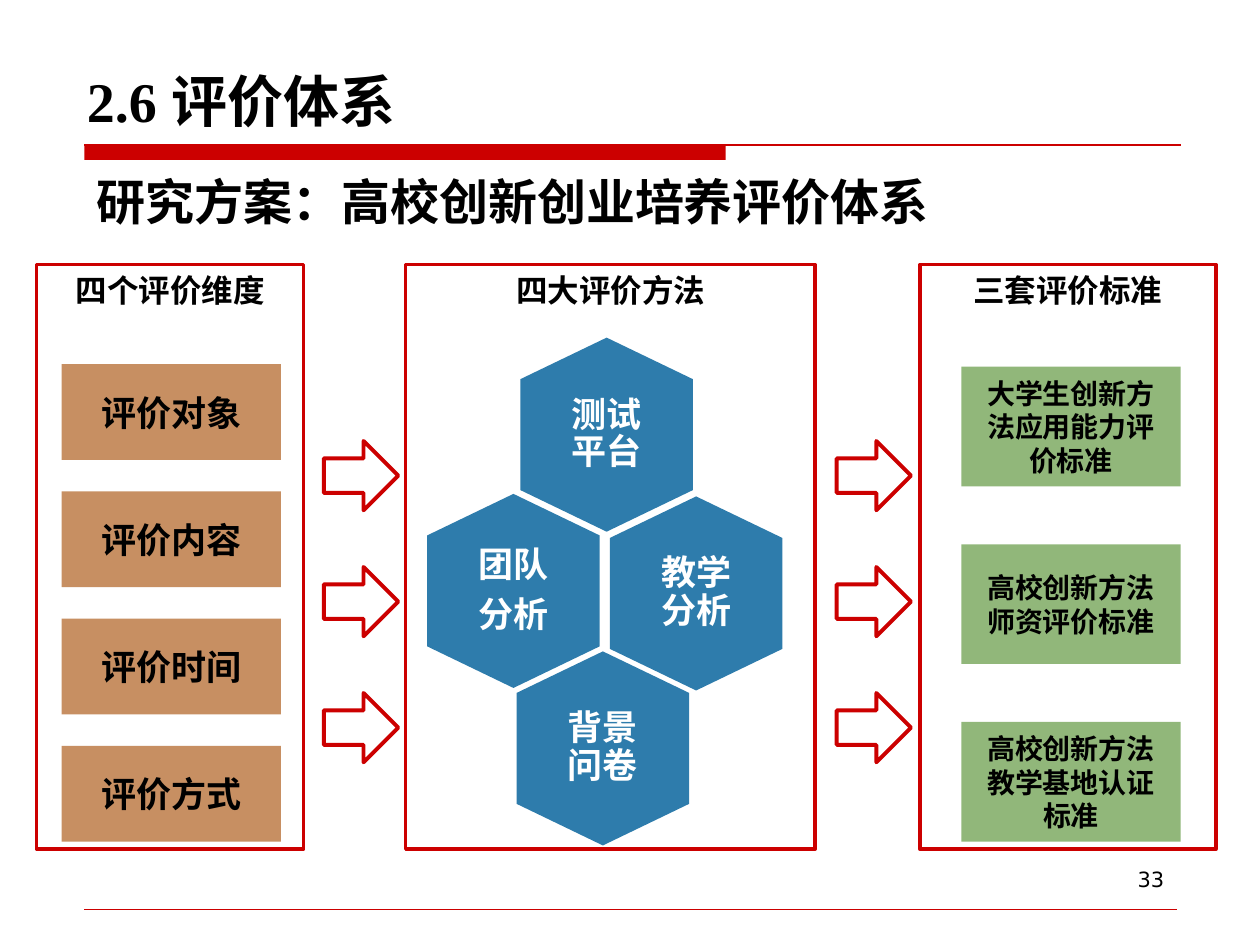
from dataclasses import dataclass
from pptx import Presentation
from pptx.dml.color import RGBColor as RGB
from pptx.enum.shapes import MSO_CONNECTOR as LINK, MSO_SHAPE as FORM
from pptx.enum.text import MSO_ANCHOR as ANCHOR, MSO_AUTO_SIZE as FIT, PP_ALIGN as ALIGN
from pptx.oxml.ns import qn
from pptx.util import Inches, Pt


@dataclass(frozen=True)
class Theme:
    red: RGB = RGB.from_string("CC0000")
    blue: RGB = RGB.from_string("2E7CAC")
    tan: RGB = RGB.from_string("C78F62")
    green: RGB = RGB.from_string("91B77A")
    black: RGB = RGB.from_string("000000")
    white: RGB = RGB.from_string("FFFFFF")
    sans: str = "Noto Sans CJK SC"
    serif: str = "Times New Roman"
    plain: str = "DejaVu Sans"
    title: int = 32
    lead: int = 28
    body: int = 20
    label: int = 18
    small: int = 16
    note: int = 12


theme = Theme()


def write(shape, text, size, color=theme.black, face=theme.sans, bold=True,
          align=ALIGN.CENTER, anchor=ANCHOR.MIDDLE, inset=(0.1, 0.05),
          spacing=None, after=None):
    """Fill a shape with text, one paragraph per line."""
    frame = shape.text_frame
    frame.word_wrap = True
    frame.auto_size = FIT.NONE
    frame.vertical_anchor = anchor
    frame.margin_left = frame.margin_right = Inches(inset[0])
    frame.margin_top = frame.margin_bottom = Inches(inset[1])
    frame.text = text
    for para in frame.paragraphs:
        para.alignment = align
        para.line_spacing = spacing
        para.space_after = after
        for run in para.runs:
            font = run.font
            font.name, font.size, font.bold = face, Pt(size), bold
            font.color.rgb = color
            east = font._element.makeelement(qn("a:ea"), {"typeface": theme.sans})
            font._element.find(qn("a:latin")).addnext(east)


def paint(shape, fill=None, line=None, width=1):
    """Set fill and outline; None leaves that part empty."""
    shape.shadow.inherit = False
    if fill is None:
        shape.fill.background()
    else:
        shape.fill.solid()
        shape.fill.fore_color.rgb = fill
    if line is None:
        shape.line.fill.background()
    else:
        shape.line.color.rgb = line
        shape.line.width = Pt(width)


deck = Presentation()
deck.slide_width, deck.slide_height = Inches(10), Inches(7.5)
slide = deck.slides.add_slide(deck.slide_layouts[5])
shapes = slide.shapes

# Red bar and thin rules
bar = shapes.add_shape(FORM.RECTANGLE, Inches(0.67), Inches(1.15), Inches(5.09), Inches(0.12))
paint(bar, fill=theme.red)
for end, top, width in [(9.37, 1.15, 0.75), (9.34, 7.22, 0.25)]:
    rule = shapes.add_connector(LINK.STRAIGHT, Inches(0.67), Inches(top), Inches(end), Inches(top))
    rule.line.color.rgb = theme.red
    rule.line.width = Pt(width)
    props = rule._element.spPr
    props.append(props.makeelement(qn("a:effectLst"), {}))

# Title, lead line and page number
title = shapes.title
title.left, title.top = Inches(0.59), Inches(0.13)
title.width, title.height = Inches(8.75), Inches(0.98)
write(title, "2.6 评价体系", theme.title, face=theme.serif, align=ALIGN.LEFT, anchor=ANCHOR.BOTTOM)
lead = shapes.add_textbox(Inches(0.67), Inches(1.31), Inches(8.03), Inches(0.57))
write(lead, "研究方案：高校创新创业培养评价体系", theme.lead, align=ALIGN.LEFT, anchor=ANCHOR.TOP)
page = shapes.add_textbox(Inches(7.17), Inches(6.83), Inches(2.17), Inches(0.52))
write(page, "33", theme.note, face=theme.plain, bold=False, align=ALIGN.RIGHT, anchor=ANCHOR.TOP)

# Three framed columns
frames = [("四个评价维度", 0.29, 2.12), ("四大评价方法", 3.22, 3.25), ("三套评价标准", 7.3, 2.35)]
for text, left, width in frames:
    frame = shapes.add_shape(FORM.RECTANGLE, Inches(left), Inches(2.1), Inches(width), Inches(4.64))
    paint(frame, line=theme.red, width=2)
    write(frame, text, theme.label, anchor=ANCHOR.TOP)

# Boxes in the outer columns: left, top, step, height, fill, size, texts
stacks = [
    (0.49, 2.89, 1.01, 0.76, theme.tan, theme.body,
     ["评价对象", "评价内容", "评价时间", "评价方式"]),
    (7.63, 2.91, 1.41, 0.95, theme.green, theme.small,
     ["大学生创新方法应用能力评价标准", "高校创新方法师资评价标准", "高校创新方法教学基地认证标准"]),
]
for left, top, step, height, fill, size, texts in stacks:
    for row, text in enumerate(texts):
        box = shapes.add_shape(FORM.RECTANGLE, Inches(left), Inches(top + row * step),
                               Inches(1.74), Inches(height))
        paint(box, fill=fill)
        write(box, text, size)

# Arrows between the columns
for left in (2.57, 6.64):
    for row in range(3):
        arrow = shapes.add_shape(FORM.RIGHT_ARROW, Inches(left), Inches(3.5 + row),
                                 Inches(0.59), Inches(0.55))
        paint(arrow, line=theme.red, width=2.25)

# Honeycomb of methods
wide, high, slope = 1.37, 1.54, 0.33
outline = [(wide / 2, 0), (wide, slope), (wide, high - slope),
           (wide / 2, high), (0, high - slope), (0, slope)]
cells = [("测试平台", 4.13, 2.68), ("团队\n分析", 3.39, 3.92),
         ("教学分析", 4.84, 3.94), ("背景问卷", 4.1, 5.17)]
for text, left, top in cells:
    points = [(Inches(left + x), Inches(top + y)) for x, y in outline]
    path = shapes.build_freeform(*points[0])
    path.add_line_segments(points[1:], close=True)
    cell = path.convert_to_shape()
    paint(cell, fill=theme.blue)
    write(cell, text, theme.body, color=theme.white, inset=(0.33, 0.38),
          spacing=0.9, after=Pt(7))

deck.save("out.pptx")
